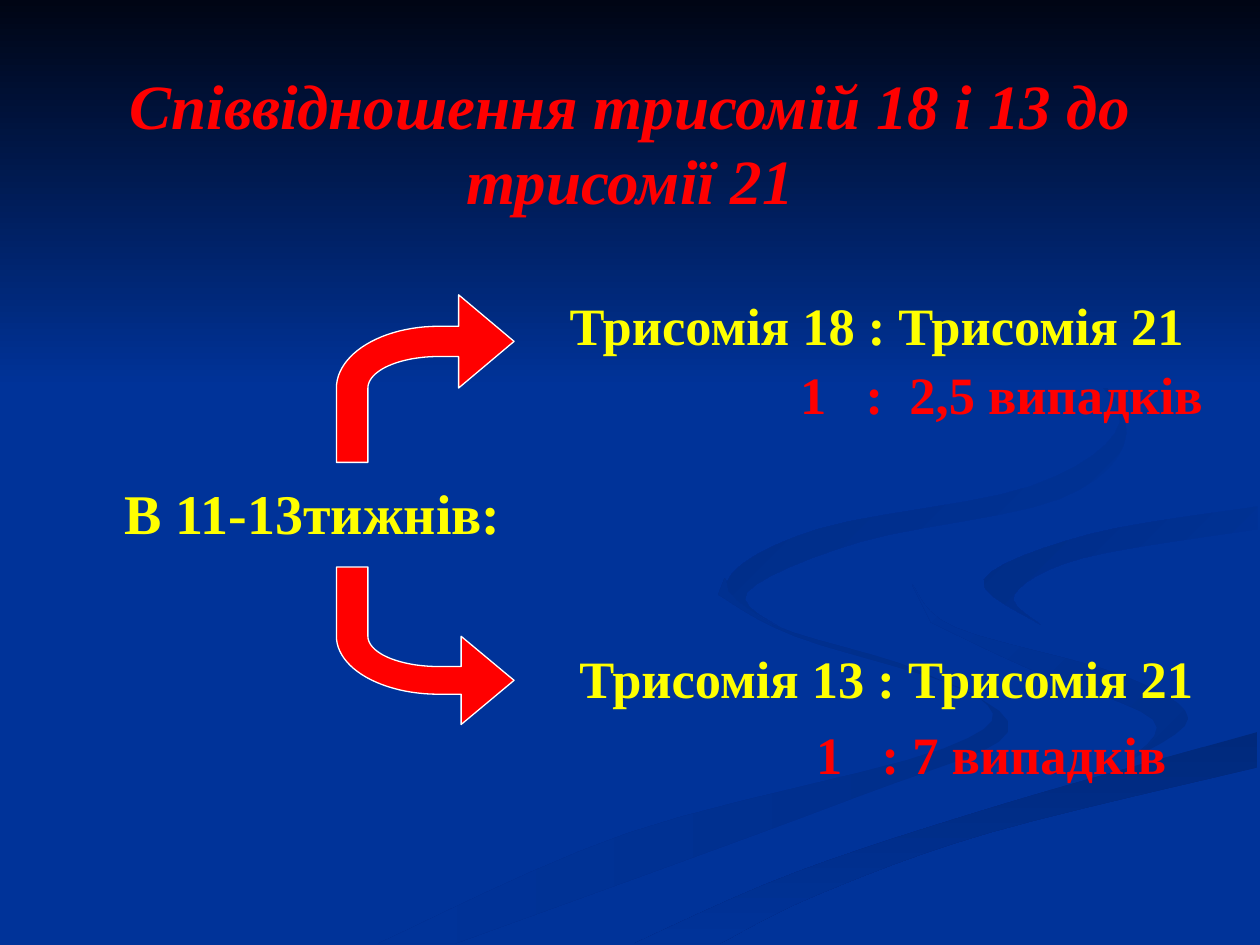
from math import cos, pi, sin

from pptx import Presentation
from pptx.dml.color import RGBColor
from pptx.enum.shapes import MSO_SHAPE
from pptx.enum.text import MSO_ANCHOR, PP_ALIGN
from pptx.util import Inches, Pt

CENTER, LEFT = PP_ALIGN.CENTER, PP_ALIGN.LEFT
MIDDLE, TOP = MSO_ANCHOR.MIDDLE, MSO_ANCHOR.TOP
RECTANGLE = MSO_SHAPE.RECTANGLE

BLUE = RGBColor(0x00, 0x33, 0x99)
NIGHT = RGBColor(0x00, 0x05, 0x14)
RED = RGBColor(0xFF, 0x00, 0x00)
YELLOW = RGBColor(0xFF, 0xFF, 0x00)
WHITE = RGBColor(0xFF, 0xFF, 0xFF)
RIBBON_SHADE = RGBColor(0x00, 0x2E, 0x8A)
BAND_SHADE = RGBColor(0x00, 0x29, 0x7C)
CURL_SHADE = RGBColor(0x00, 0x2C, 0x85)
SWIRL_SHADE = RGBColor(0x00, 0x2B, 0x81)
FONT = "Times New Roman"

# Background ribbons, back to front: colours, gradient angle and the two edges,
# each a few points in inches that a smooth curve runs through
RIBBONS = [
    (RIBBON_SHADE, BLUE, 180,
     [(5.75, 4.59), (6.14, 4.96), (7.31, 5.33), (8, 5.81), (6.76, 6.34), (3.61, 7.49)],
     [(3, 7.49), (4.99, 6.61), (7.49, 5.94), (7.76, 5.53), (6.31, 5.05), (5.7, 4.72)]),
    (RIBBON_SHADE, BLUE, 225,
     [(7.24, 4.64), (7.58, 4.98), (8.88, 5.35), (9.43, 5.7), (8.94, 6.05)],
     [(8.94, 6.05), (9.15, 5.71), (8.15, 5.3), (7.39, 4.94)]),
    (BAND_SHADE, BLUE, 90,
     [(5.03, 7.49), (6.3, 6.93), (7.97, 6.38), (9.98, 5.81)],
     [(9.98, 6.09), (7.85, 6.61), (6.49, 7.1), (5.71, 7.49)]),
    (BLUE, CURL_SHADE, 225,
     [(9.98, 4.02), (8.65, 4.24), (7.81, 4.6), (8.26, 4.96)],
     [(8.26, 4.96), (8.05, 4.72), (8.59, 4.43), (9.98, 4.2)]),
    (BLUE, SWIRL_SHADE, 225,
     [(7.62, 2.33), (8.54, 2.83), (8.94, 3.44), (8.41, 3.96), (6.83, 4.3), (5.93, 4.7),
      (6.22, 5)],
     [(6.22, 5), (5.77, 4.62), (6.49, 4.2), (8.18, 3.86), (8.89, 3.35), (8.46, 2.79)]),
]


def smooth(points, steps=6):
    """Catmull-Rom curve through the points."""
    padded = [points[0], *points, points[-1]]
    curve = []
    for a, b, c, d in zip(padded, padded[1:], padded[2:], padded[3:]):
        for t in (step / steps for step in range(steps)):
            curve.append(tuple(
                q + t * (r - p) / 2 + t * t * (2 * p - 5 * q + 4 * r - s) / 2
                + t ** 3 * (3 * q - p - 3 * r + s) / 2
                for p, q, r, s in zip(a, b, c, d)))
    return [*curve, points[-1]]


def add_outline(slide, points):
    start, *others = [(Inches(x), Inches(y)) for x, y in points]
    builder = slide.shapes.build_freeform(*start)
    builder.add_line_segments(others, close=True)
    outline = builder.convert_to_shape()
    outline.shadow.inherit = False
    return outline


def shade(shape, start_color, end_color, angle):
    """Gradient without a border; the angle runs clockwise from left to right."""
    shape.line.fill.background()
    shape.fill.gradient()
    shape.fill.gradient_angle = 360 - angle
    for stop, color in zip(shape.fill.gradient_stops, (start_color, end_color)):
        stop.color.rgb = color


def add_background(slide):
    fill = slide.background.fill
    fill.solid()
    fill.fore_color.rgb = BLUE
    for start_color, end_color, angle, edge, return_edge in RIBBONS:
        ribbon = add_outline(slide, smooth(edge) + smooth(return_edge))
        shade(ribbon, start_color, end_color, angle)
    sky = slide.shapes.add_shape(RECTANGLE, 0, 0, Inches(10), Inches(3.08))
    sky.shadow.inherit = False
    shade(sky, NIGHT, BLUE, 90)


def add_bent_arrow(slide, stem_y, bend_y, head_x, outer, inner):
    """Arrow from a vertical stem to the right; negative radii bend it upwards."""
    left, center_x, tip_x, thickness = 2.67, 3.48, 4.08, 0.25
    steps = 24
    tip_y = bend_y + (outer + inner) / 2

    def bend(width, height):
        angles = [pi / 2 * step / steps for step in range(steps + 1)]
        return [(center_x - width * cos(a), bend_y + height * sin(a)) for a in angles]

    outer_bend = bend(center_x - left, outer)
    inner_bend = bend(center_x - left - thickness, inner)
    head = [(head_x, bend_y + outer), (head_x, 2 * tip_y - bend_y), (tip_x, tip_y),
            (head_x, bend_y), (head_x, bend_y + inner)]
    arrow = add_outline(slide, [(left, stem_y), *outer_bend, *head,
                                *reversed(inner_bend), (left + thickness, stem_y)])
    arrow.fill.solid()
    arrow.fill.fore_color.rgb = RED
    arrow.line.color.rgb = WHITE
    arrow.line.width = Pt(0.75)


def add_text(slide, box, lines, size, align=LEFT, anchor=TOP, before=0,
             spacing=None, italic=False):
    """Each line is its wording, colour and left indent in inches."""
    frame = slide.shapes.add_textbox(*map(Inches, box)).text_frame
    frame.word_wrap = True
    frame.vertical_anchor = anchor
    for index, (wording, color, indent) in enumerate(lines):
        paragraph = frame.add_paragraph() if index else frame.paragraphs[0]
        paragraph.text = wording
        paragraph.alignment = align
        paragraph.space_before = Pt(before)
        paragraph.line_spacing = spacing
        paragraph._p.get_or_add_pPr().set("marL", str(Inches(indent)))
        font = paragraph.font
        font.name, font.size, font.bold, font.italic = FONT, Pt(size), True, italic
        font.color.rgb = color


def main():
    prs = Presentation()
    prs.slide_width, prs.slide_height = Inches(10), Inches(7.5)
    slide = prs.slides.add_slide(prs.slide_layouts[6])

    add_background(slide)
    add_text(slide, (0.5, 0.5, 9, 1.25),
             [("Співвідношення трисомій 18 і 13 до трисомії 21", RED, 0)],
             36, CENTER, MIDDLE, italic=True)
    add_bent_arrow(slide, 4.5, 5.05, 3.66, 0.46, 0.24)
    add_bent_arrow(slide, 3.67, 3.08, 3.64, -0.49, -0.25)
    add_text(slide, (4.25, 2.33, 5.42, 1.11),
             [("Трисомія 18 : Трисомія 21", YELLOW, 0),
              ("1   :  2,5 випадків", RED, 1.98)],
             30, CENTER, before=7.5, spacing=0.9)
    add_text(slide, (0.33, 3.75, 4.08, 0.64), [("В 11-13тижнів:", YELLOW, 0.56)],
             32, before=8)
    add_text(slide, (4.5, 5.08, 5.33, 1.21),
             [("Трисомія 13 : Трисомія 21", YELLOW, 0),
              ("1   : 7 випадків", RED, 1.88)],
             30, before=7.5)

    prs.save("out.pptx")


if __name__ == "__main__":
    main()
